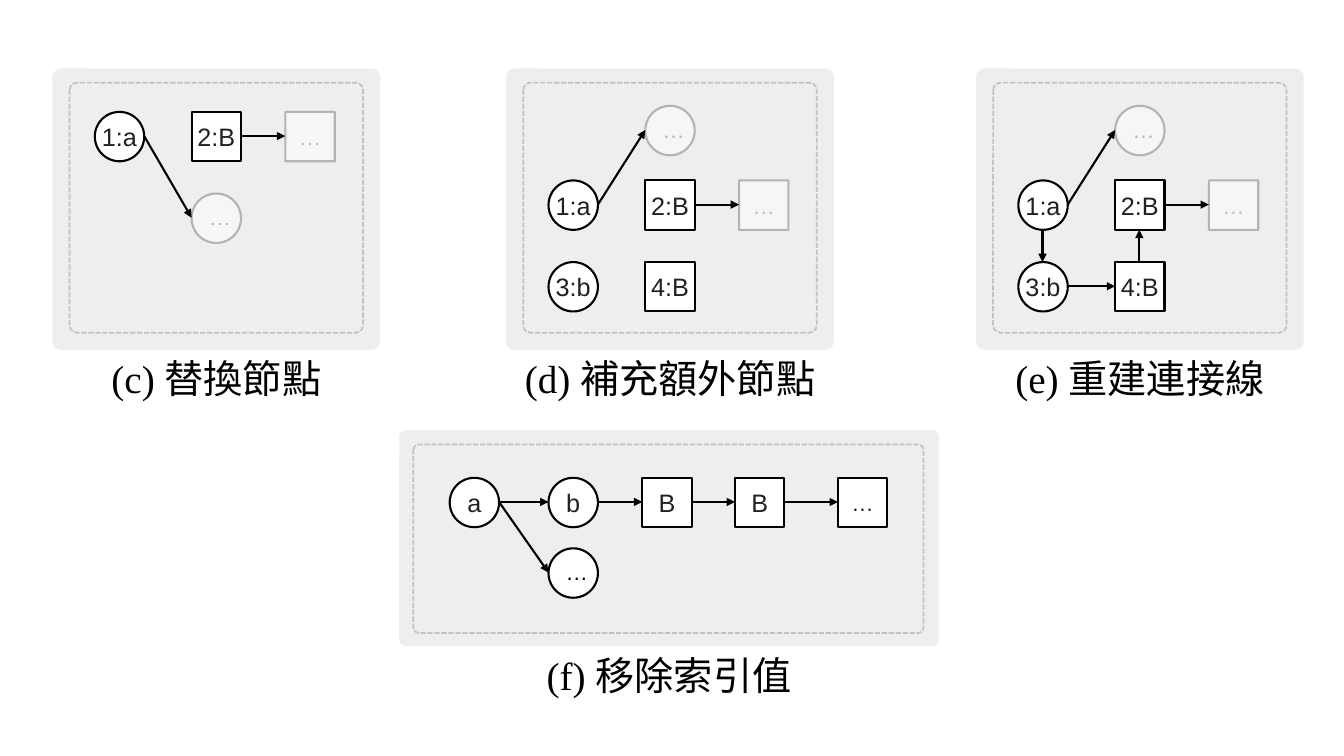
"""Build a slide of four panels that show graph nodes being rewritten."""
import pptx
import pptx.dml.color
import pptx.enum.dml
import pptx.enum.shapes
import pptx.enum.text
import pptx.oxml.ns
import pptx.oxml.xmlchemy
import pptx.util
from lxml import etree

PX = 9144
SIDE = 49
qn = pptx.oxml.ns.qn
hue = pptx.dml.color.RGBColor.from_string
kinds = pptx.enum.shapes.MSO_SHAPE
mid = pptx.enum.text.PP_ALIGN.CENTER

deck = pptx.Presentation()
deck.slide_width = 1333 * PX
deck.slide_height = 750 * PX
slide = deck.slides.add_slide(deck.slide_layouts[6])


def draw(kind, x, y, w, h, fill=None, line=None, width=1.5):
    shape = slide.shapes.add_shape(kind, x * PX, y * PX, w * PX, h * PX)
    shape.shadow.inherit = False
    if fill:
        shape.fill.solid()
        shape.fill.fore_color.rgb = hue(fill)
    else:
        shape.fill.background()
    if line:
        shape.line.color.rgb = hue(line)
        shape.line.width = pptx.util.Pt(width)
    else:
        shape.line.fill.background()
    if kind == kinds.ROUNDED_RECTANGLE:
        shape.adjustments[0] = 0.029
    return shape


def fade(shape, *parts):
    for color, part in zip(shape.element.iter(qn("a:srgbClr")), parts):
        etree.SubElement(color, qn("a:alpha")).set("val", str(part * 1000))


BALL, BOX = kinds.OVAL, kinds.RECTANGLE
base = [
    (BALL, 42, 111, "1:a", False), (BOX, 138, 111, "2:B", False),
    (BOX, 231, 111, "…", True), (BALL, 138, 37, "…", True),
    (BALL, 42, 192, "3:b", False), (BOX, 138, 192, "4:B", False),
]
panels = [
    (52, 68, 325, 279, 291, 248, "(c) ", "替換節點", [
        (BALL, 42, 43, "1:a", False), (BOX, 138, 43, "2:B", False),
        (BOX, 231, 43, "…", True), (BALL, 138, 124, "…", True),
    ], [(0, 3), (1, 2)]),
    (502, 68, 325, 279, 291, 248, "(d) ", "補充額外節點", base, [(0, 3), (1, 2)]),
    (968, 68, 325, 279, 291, 248, "(e) ", "重建連接線", base,
     [(0, 3), (1, 2), (0, 4), (4, 5), (5, 1)]),
    (396, 427, 535, 214, 506, 187, "(f) ", "移除索引值", [
        (BALL, 50, 47, "a", False), (BALL, 148, 47, "b", False),
        (BOX, 241, 47, "B", False), (BOX, 333, 47, "B", False),
        (BOX, 435, 47, "…", False), (BALL, 148, 117, "…", False),
    ], [(0, 1), (1, 2), (2, 3), (3, 4), (0, 5)]),
]

for left, top, wide, high, inner, deep, tag, name, nodes, links in panels:
    draw(kinds.ROUNDED_RECTANGLE, left, top, wide, high, "EEEEEE")
    frame = draw(kinds.ROUNDED_RECTANGLE, left + (wide - inner) // 2, top + 14,
                 inner, deep, line="808080", width=1.25)
    frame.line.dash_style = pptx.enum.dml.MSO_LINE.SQUARE_DOT
    fade(frame, 40)

    for kind, x, y, label, dim in nodes:
        node = draw(kind, left + x, top + y, SIDE, SIDE, "FFFFFF", "000000")
        dots = label == "…"
        inset = (10, 2, 10, 5) if dots and kind == BALL else (0, 0, 0, 0)
        body = node.text_frame
        body.margin_left, body.margin_top, body.margin_right, body.margin_bottom = (
            gap * PX for gap in inset)
        body.word_wrap = dots
        body.vertical_anchor = pptx.enum.text.MSO_ANCHOR.MIDDLE
        para = body.paragraphs[0]
        para.alignment = mid
        run = para.add_run()
        run.text = label
        run.font.name = "Arial"
        run.font.size = pptx.util.Pt(16 if dots else 18)
        run.font.color.rgb = hue("000000" if dots and kind == BALL else "212121")
        if dim:
            fade(node, 50, 25, 25)

    for start, end in links:
        x1, y1 = nodes[start][1:3]
        x2, y2 = nodes[end][1:3]
        if x1 == x2:
            x1 = x2 = x1 + SIDE // 2
            if y1 < y2:
                y1 += SIDE
            else:
                y2 += SIDE
        else:
            x1 += SIDE
            y1 += SIDE // 2
            y2 += SIDE // 2
        arrow = slide.shapes.add_connector(
            pptx.enum.shapes.MSO_CONNECTOR.STRAIGHT,
            (left + x1) * PX, (top + y1) * PX, (left + x2) * PX, (top + y2) * PX)
        arrow.line.color.rgb = hue("000000")
        arrow.line.width = pptx.util.Pt(1.5)
        tip = etree.SubElement(arrow.line._get_or_add_ln(), qn("a:tailEnd"))
        tip.set("type", "triangle")
        etree.SubElement(arrow.element.spPr, qn("a:effectLst"))

    title = slide.shapes.add_textbox(left * PX, (top + high) * PX, wide * PX, 57 * PX)
    title.text_frame.word_wrap = True
    para = title.text_frame.paragraphs[0]
    para.alignment = mid
    for text, face in ((tag, "Times New Roman"), (name, "Noto Sans CJK SC")):
        run = para.add_run()
        run.text = text
        run.font.name = face
        run.font.size = pptx.util.Pt(28)
        run.font.color.rgb = hue("000000")
        etree.SubElement(run.font._element, qn("a:ea")).set("typeface", face)

deck.save("out.pptx")
